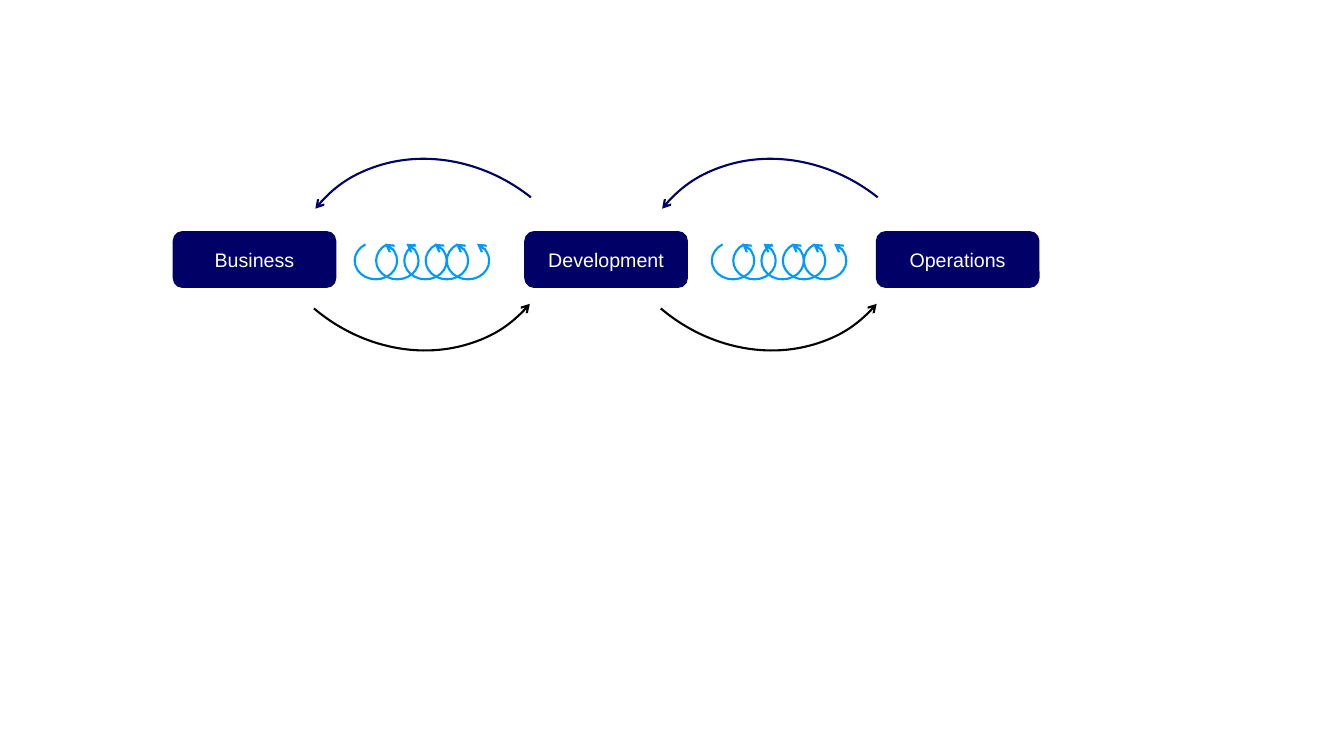
from dataclasses import dataclass

from lxml.etree import SubElement
from pptx import Presentation
from pptx.dml.color import RGBColor
from pptx.enum.shapes import MSO_SHAPE
from pptx.enum.text import MSO_ANCHOR, PP_ALIGN
from pptx.oxml.ns import qn
from pptx.util import Cm, Pt


@dataclass(frozen=True)
class Theme:
    navy: RGBColor = RGBColor(0x00, 0x00, 0x66)
    sky: RGBColor = RGBColor(0x00, 0x99, 0xFF)
    black: RGBColor = RGBColor(0x00, 0x00, 0x00)
    white: RGBColor = RGBColor(0xFF, 0xFF, 0xFF)
    font: str = "Arial"
    label_size: Pt = Pt(14)
    box_line: Pt = Pt(1)
    arc_line: Pt = Pt(1.5)


class FlowSlide:
    def __init__(self, slide, theme):
        self.slide = slide
        self.theme = theme

    def add_outlined(self, kind, left, top, width, height, color, weight):
        shape = self.slide.shapes.add_shape(kind, Cm(left), Cm(top), Cm(width), Cm(height))
        shape.shadow.inherit = False
        shape.line.color.rgb = color
        shape.line.width = weight
        return shape

    def add_stage(self, name, left, top, width, height):
        theme = self.theme
        stage = self.add_outlined(MSO_SHAPE.ROUNDED_RECTANGLE, left, top, width, height,
                                  theme.navy, theme.box_line)
        stage.fill.solid()
        stage.fill.fore_color.rgb = theme.navy
        frame = stage.text_frame
        frame.text = name
        frame.vertical_anchor = MSO_ANCHOR.MIDDLE
        label = frame.paragraphs[0]
        label.alignment = PP_ALIGN.CENTER
        label.font.name = theme.font
        label.font.size = theme.label_size
        label.font.color.rgb = theme.white

    def add_arc_arrow(self, left, top, width, height, color, flip, rotation=0, angles=()):
        """Draw an open arc with an arrowhead; flip is "flipH" or "flipV"."""
        arc = self.add_outlined(MSO_SHAPE.ARC, left, top, width, height,
                                color, self.theme.arc_line)
        arc.fill.background()
        arc.rotation = rotation
        for index, angle in enumerate(angles):
            arc.adjustments[index] = angle
        properties = arc.element.spPr
        properties.find(qn("a:xfrm")).set(flip, "1")
        SubElement(properties.find(qn("a:ln")), qn("a:tailEnd"), type="arrow")


STAGES = ("Business", "Development", "Operations")
STAGE_LEFT, STAGE_TOP, STAGE_PITCH = 4.37, 5.84, 8.86
STAGE_SIZE = (4.09, 1.4)

SWEEP_PITCH = 8.74
SWEEP_SIZE = (8.15, 7.21)

LOOP_LEFT, LOOP_TOP, LOOP_PITCH = 8.94, 6.1, 9.0
LOOP_SIZE = (1.07, 0.94)
LOOP_OFFSETS = (0, 0.54, 1.25, 1.79, 2.32)
LOOP_ANGLES = (181.64, 145.06)


def main():
    presentation = Presentation()
    presentation.slide_width = Cm(33.87)
    presentation.slide_height = Cm(19.05)
    theme = Theme()
    flow = FlowSlide(presentation.slides.add_slide(presentation.slide_layouts[6]), theme)

    for index, name in enumerate(STAGES):
        flow.add_stage(name, STAGE_LEFT + index * STAGE_PITCH, STAGE_TOP, *STAGE_SIZE)

    for gap in range(len(STAGES) - 1):
        shift = gap * SWEEP_PITCH
        flow.add_arc_arrow(6.17 + shift, 1.42, *SWEEP_SIZE, theme.black, "flipV", 40.3)
        flow.add_arc_arrow(7.06 + shift, 4.19, *SWEEP_SIZE, theme.navy, "flipV", 218.5)
        for offset in LOOP_OFFSETS:
            flow.add_arc_arrow(LOOP_LEFT + gap * LOOP_PITCH + offset, LOOP_TOP, *LOOP_SIZE,
                               theme.sky, "flipH", angles=LOOP_ANGLES)

    presentation.save("out.pptx")


if __name__ == "__main__":
    main()
